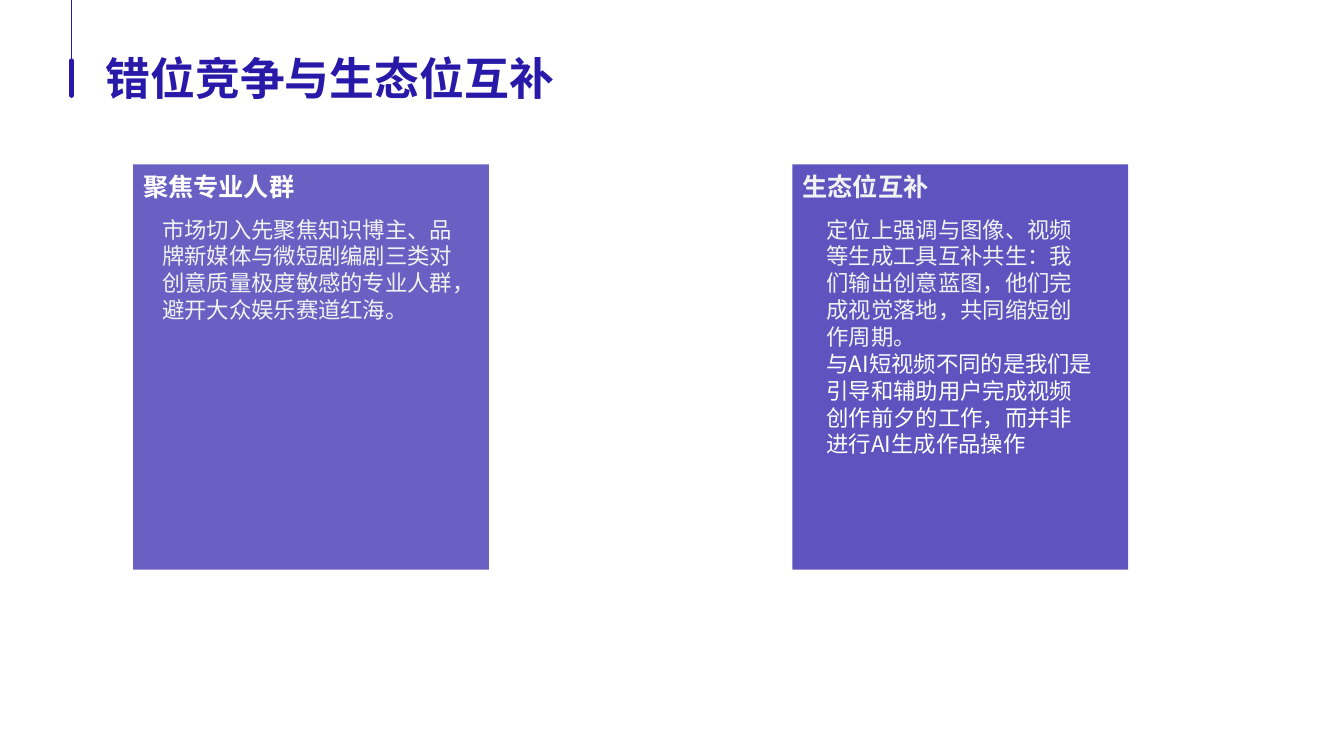
from lxml import etree
from pptx import Presentation
from pptx.dml.color import RGBColor
from pptx.enum.shapes import MSO_CONNECTOR, MSO_SHAPE
from pptx.oxml.ns import qn
from pptx.util import Inches, Pt

STRAIGHT = MSO_CONNECTOR.STRAIGHT
ROUNDED = MSO_SHAPE.ROUNDED_RECTANGLE
FONT = "Noto Sans CJK SC"
COLORS = {"indigo": "2819A9", "white": "FFFFFF", "pale": "F2F2F2"}
CARD_TOP, HEADING_TOP, BODY_TOP = 1.63, 1.65, 2.09


def rgb(name):
    return RGBColor.from_string(COLORS[name])


def add_line(slide, x, top, bottom, width):
    line = slide.shapes.add_connector(
        STRAIGHT, Inches(x), Inches(top), Inches(x), Inches(bottom))
    line.line.color.rgb = rgb("indigo")
    line.line.width = Pt(width)
    line.line._get_or_add_ln().set("cap", "rnd")
    etree.SubElement(line._element.spPr, qn("a:effectLst"))


def add_text(slide, box, paragraphs, size, bold=False):
    sp = slide.shapes.add_textbox(*[Inches(v) for v in box])
    tf = sp.text_frame
    tf.word_wrap = True
    for i, (text, color) in enumerate(paragraphs):
        p = tf.paragraphs[0] if i == 0 else tf.add_paragraph()
        r = p.add_run()
        r.text = text
        r.font.name = FONT
        r.font.size = Pt(size)
        r.font.bold = bold
        r.font.color.rgb = rgb(color)
        etree.SubElement(r.font._element, qn("a:ea"), typeface=FONT)


def add_panel(slide, left, width, opacity):
    sp = slide.shapes.add_shape(
        ROUNDED, Inches(left), Inches(CARD_TOP), Inches(width), Inches(4.02))
    sp.adjustments[0] = 0
    sp.shadow.inherit = False
    sp.line.fill.background()
    sp.fill.solid()
    sp.fill.fore_color.rgb = rgb("indigo")
    color = sp._element.spPr.find(".//" + qn("a:srgbClr"))
    etree.SubElement(color, qn("a:alpha"), val=str(opacity * 1000))


def add_card(slide, left, width, opacity, heading, body_box, body):
    add_panel(slide, left, width, opacity)
    add_text(slide, (left, HEADING_TOP, 2.58, 0.71), [heading], 18, True)
    body_left, body_width, body_height = body_box
    add_text(slide, (body_left, BODY_TOP, body_width, body_height), body, 16)


def main():
    prs = Presentation()
    prs.slide_width, prs.slide_height = Inches(13.33), Inches(7.5)
    s = prs.slides.add_slide(prs.slide_layouts[6])
    add_line(s, 0.71, 0.6, 0.95, 3)
    add_line(s, 0.71, 0, 0.71, 0.25)
    add_text(s, (0.95, 0.45, 4.87, 0.94),
             [("错位竞争与生态位互补", "indigo")], 32, True)
    add_card(s, 1.32, 3.53, 69, ("聚焦专业人群", "white"), (1.51, 3.14, 1.48), [
        ("市场切入先聚焦知识博主、品牌新媒体与微短剧编剧三类对创意质量极度敏感的"
         "专业人群，避开大众娱乐赛道红海。", "pale"),
    ])
    add_card(s, 7.86, 3.33, 74, ("生态位互补", "pale"), (8.1, 2.85, 2.52), [
        ("定位上强调与图像、视频等生成工具互补共生：我们输出创意蓝图，他们完成"
         "视觉落地，共同缩短创作周期。", "pale"),
        ("与AI短视频不同的是我们是引导和辅助用户完成视频创作前夕的工作，"
         "而并非进行AI生成作品操作", "white"),
    ])
    prs.save("out.pptx")


if __name__ == "__main__":
    main()
